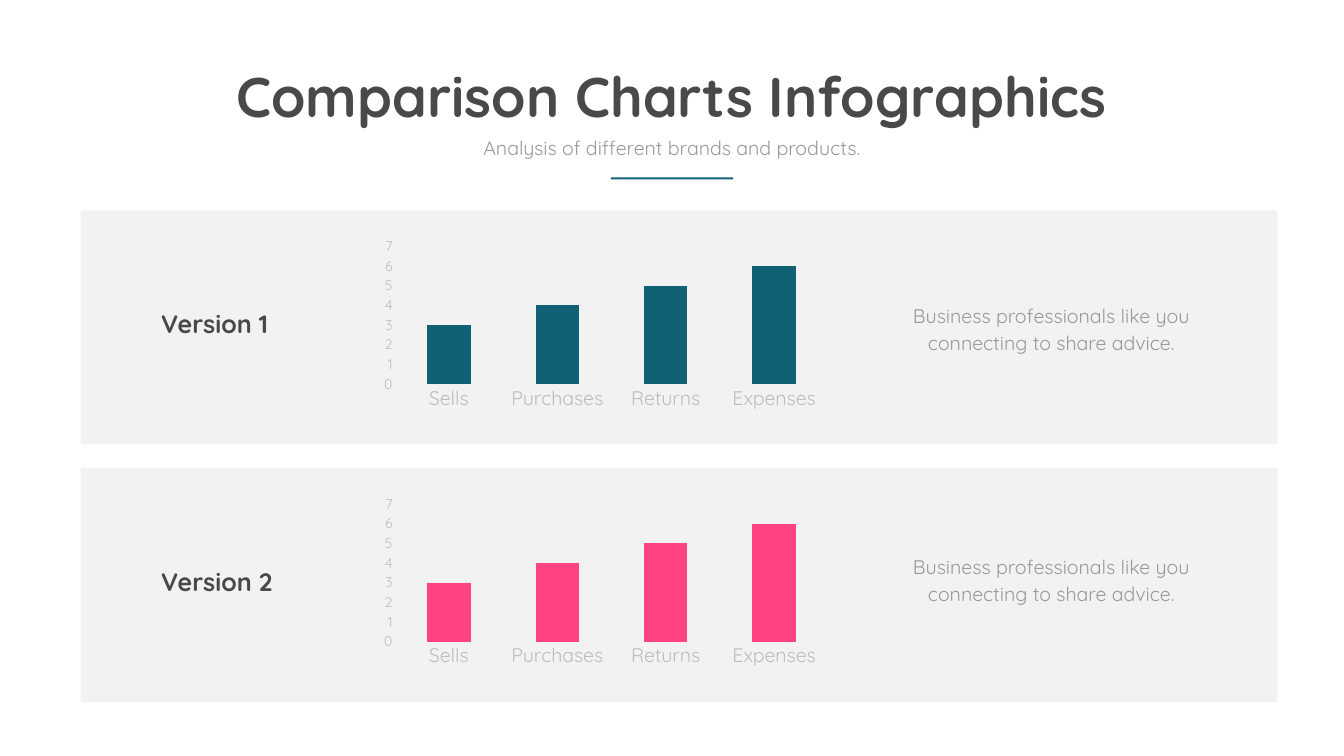
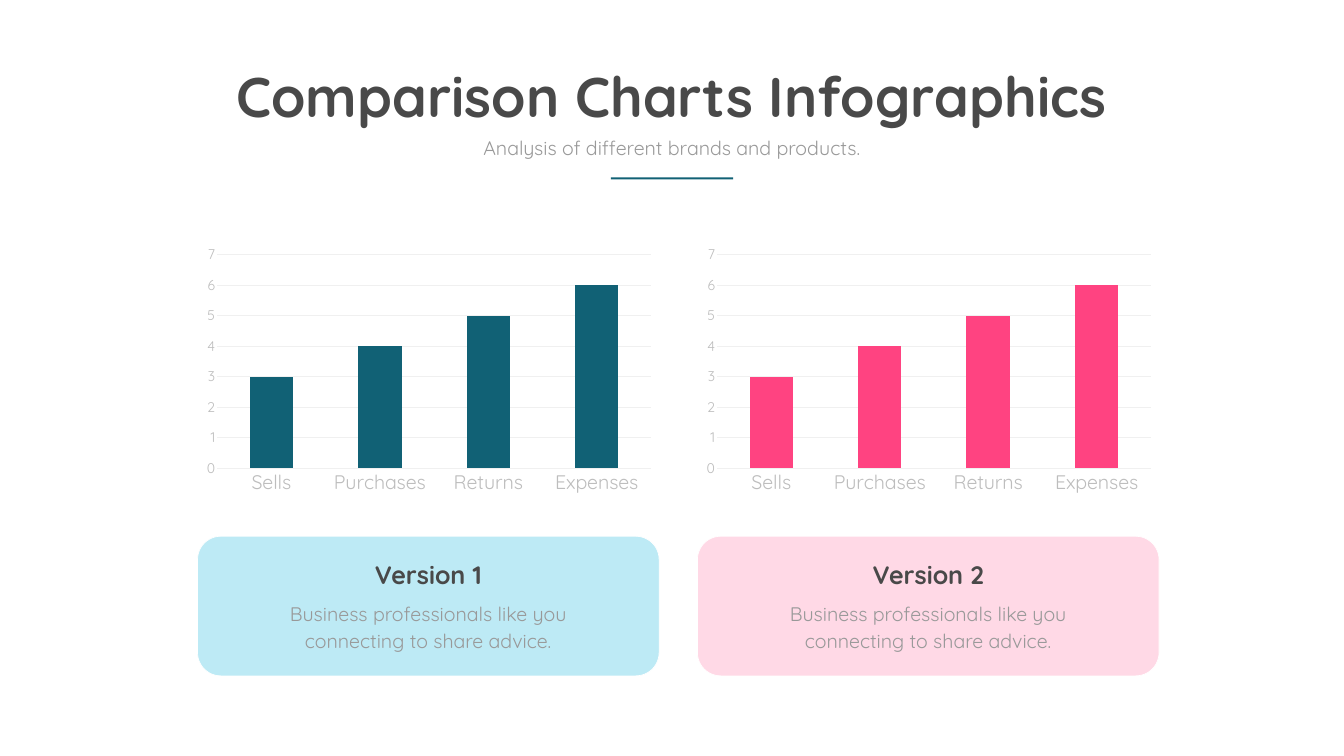
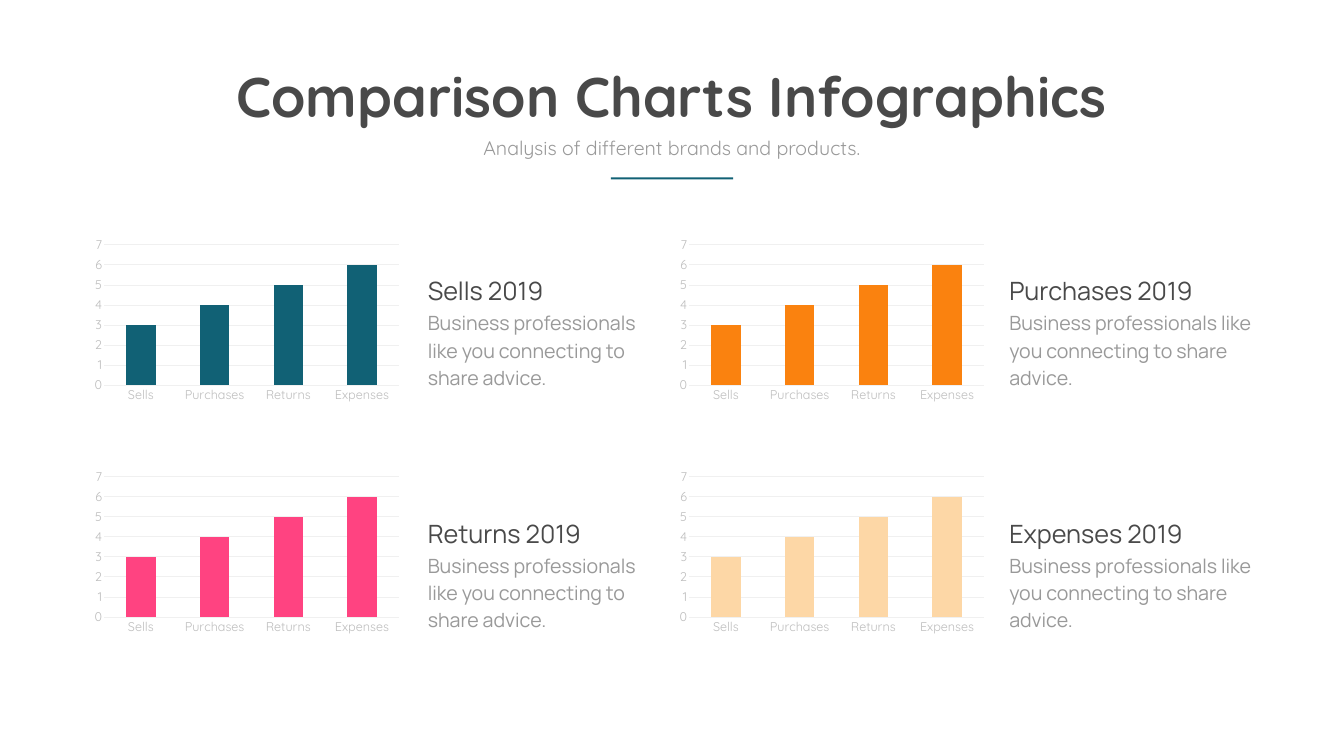
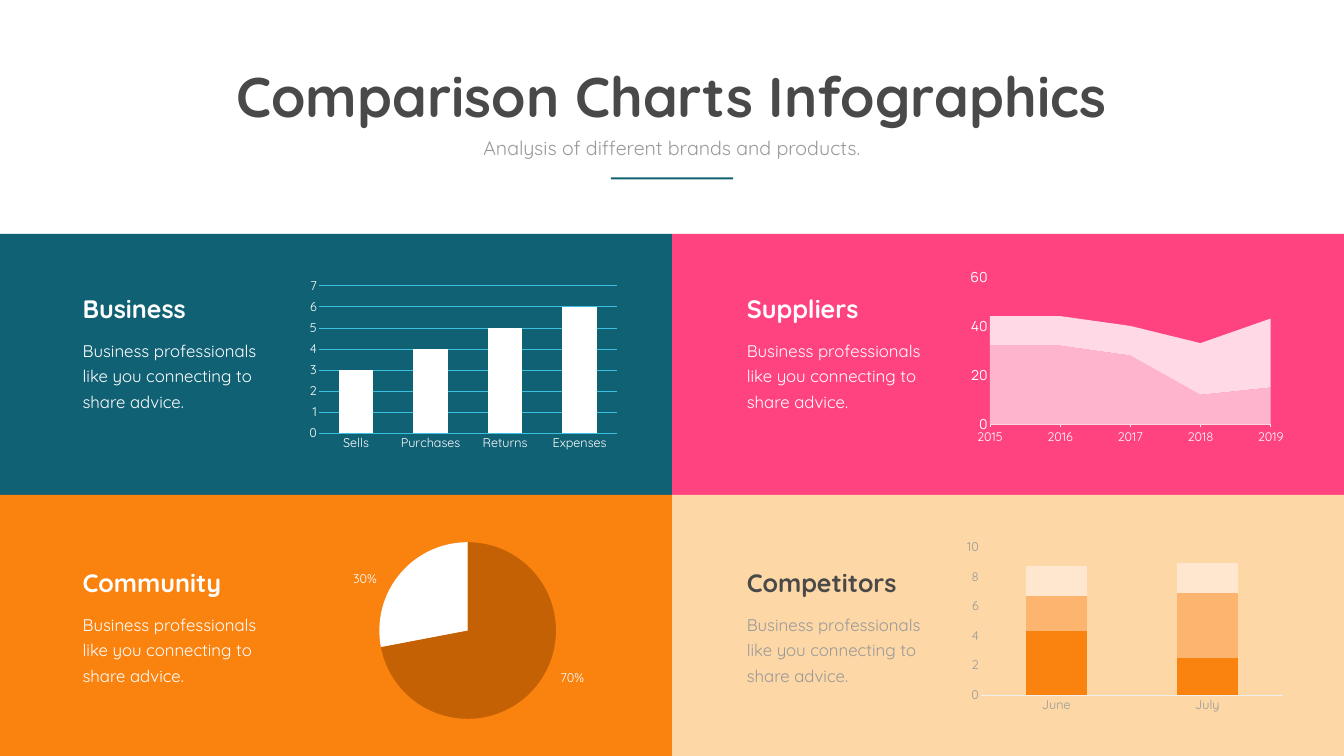
from itertools import product

from lxml.etree import SubElement
from pptx import Presentation
from pptx.chart.data import CategoryChartData
from pptx.dml.color import RGBColor
from pptx.enum.chart import XL_CHART_TYPE, XL_TICK_MARK
from pptx.enum.shapes import MSO_SHAPE
from pptx.enum.text import MSO_ANCHOR, MSO_AUTO_SIZE, PP_ALIGN
from pptx.oxml.ns import qn
from pptx.util import Emu, Pt

PX = 9144  # 100 px to the inch
WIDTH, HEIGHT = 2667, 1500

FONT, ALT_FONT = "Quicksand", "Manrope"
TEAL, PINK, ORANGE, SAND = "116175", "FF4381", "FA820F", "FDD7A6"
DARK, GREY, LABEL, GRID, WHITE = "494949", "999999", "BDBDBD", "F0F0F0", "FFFFFF"
PANEL = "F2F2F2"

TITLE = "Comparison Charts Infographics"
SUBTITLE = "Analysis of different brands and products."
ADVICE = "Business professionals like you connecting to share advice."
ACTIVITY = ["Sells", "Purchases", "Returns", "Expenses"]
LEVELS = [3, 4, 5, 6]

# name, bar colour, card colour, top of the advice on the rows slide
VERSIONS = [
    ("Version 1", TEAL, "BDEAF5", 592),
    ("Version 2", PINK, "FFD9E6", 1090),
]

YEAR_CHARTS = [
    ("Sells 2019", TEAL),
    ("Purchases 2019", ORANGE),
    ("Returns 2019", PINK),
    ("Expenses 2019", SAND),
]

# heading, panel colour, heading colour, advice colour
QUADRANTS = [
    ("Business", TEAL, WHITE, WHITE),
    ("Suppliers", PINK, WHITE, WHITE),
    ("Community", ORANGE, WHITE, WHITE),
    ("Competitors", SAND, DARK, GREY),
]

YEARS = ["2015", "2016", "2017", "2018", "2019"]
SUPPLIES = [([32, 32, 28, 12, 15], "FFB4CD"), ([12, 12, 12, 21, 28], "FFD9E6")]
MONTHS = ["June", "July"]
RIVALS = [([4.3, 2.5], ORANGE), ([2.4, 4.4], "FCB46F"), ([2, 2], "FEE6CF")]
SHARES = [(72, "C36104"), (28, WHITE)]
SHARE_LABELS = [("30%", 691, 1108), ("70%", 1102, 1303)]


def rgb(value):
    return RGBColor.from_string(value)


def box(x, y, w, h):
    return [Emu(n * PX) for n in (x, y, w, h)]


def style_font(font, size, color, name=FONT, bold=False):
    font.size, font.name, font.bold = Pt(size), name, bold
    font.color.rgb = rgb(color)


def fill_text(sp, text, size, color, name=FONT, bold=False, center=False,
              spacing=None, wrap=True):
    tf = sp.text_frame
    tf.word_wrap = wrap
    tf.auto_size = MSO_AUTO_SIZE.SHAPE_TO_FIT_TEXT
    tf.vertical_anchor = MSO_ANCHOR.TOP
    p = tf.paragraphs[0]
    p.alignment = PP_ALIGN.CENTER if center else PP_ALIGN.LEFT
    if spacing:
        p.line_spacing = Pt(spacing)
    r = p.add_run()
    r.text = text
    style_font(r.font, size, color, name, bold)


def add_text(s, at, text, size, color, **options):
    fill_text(s.shapes.add_textbox(*box(*at)), text, size, color, **options)


def add_heading(s, at, text, color=DARK, bold=True, **options):
    add_text(s, at, text, 36, color, bold=bold, **options)


def add_advice(s, at, size=28, color=GREY, spacing=38.6, **options):
    add_text(s, at, ADVICE, size, color, spacing=spacing, **options)


def add_block(s, at, color, kind=MSO_SHAPE.RECTANGLE, line=None):
    sp = s.shapes.add_shape(kind, *box(*at))
    sp.shadow.inherit = False
    sp.fill.solid()
    sp.fill.fore_color.rgb = rgb(color)
    if line:
        sp.line.color.rgb = rgb(line)
        sp.line.width = Pt(1)
    else:
        sp.line.fill.background()


def insert_chart(s, at, kind, cats, series):
    """Add a bare chart; series is a list of value lists."""
    data = CategoryChartData()
    data.categories = cats
    for n, values in enumerate(series, 1):
        data.add_series(f"Series {n}", values)
    chart = s.shapes.add_chart(kind, *box(*at), data).chart
    chart.has_title = chart.has_legend = False
    return chart


def add_axis_chart(s, at, cats, series, top, step, kind=XL_CHART_TYPE.COLUMN_STACKED,
                   cat_size=18, val_size=18, color=LABEL, grid=None, base=GRID,
                   val_font=FONT):
    chart = insert_chart(s, at, kind, cats, [values for values, _ in series])
    style_font(chart.font, val_size, GREY)
    plot = chart.plots[0]
    plot.vary_by_categories = False
    for ser, (_, fill) in zip(plot.series, series):
        ser.format.fill.solid()
        ser.format.fill.fore_color.rgb = rgb(fill)

    cat, val = chart.category_axis, chart.value_axis
    for axis in (cat, val):
        axis.major_tick_mark = axis.minor_tick_mark = XL_TICK_MARK.NONE
    style_font(cat.tick_labels.font, cat_size, color)
    style_font(val.tick_labels.font, val_size, color, val_font)
    cat.has_major_gridlines = False
    cat.format.line.color.rgb = rgb(base)
    cat.format.line.width = Pt(0.75)
    val.minimum_scale, val.maximum_scale, val.major_unit = 0, top, step
    val.format.line.fill.background()
    val.has_major_gridlines = grid is not None
    if grid:
        val.major_gridlines.format.line.color.rgb = rgb(grid)
        val.major_gridlines.format.line.width = Pt(0.75)
    return chart


def add_columns(s, at, cats, series, top, step, gap=150, overlap=100, **options):
    plot = add_axis_chart(s, at, cats, series, top, step, **options).plots[0]
    plot.gap_width, plot.overlap = gap, overlap


def add_activity(s, at, fill, grid=GRID, **options):
    add_columns(s, at, ACTIVITY, [(LEVELS, fill)], 7, 1, grid=grid, **options)


def set_plot_area(chart, x, y, w, h):
    area = chart.element.find(".//" + qn("c:plotArea"))
    for old in area.findall(qn("c:layout")):
        area.remove(old)
    layout = SubElement(area, qn("c:layout"))
    area.insert(0, layout)
    manual = SubElement(layout, qn("c:manualLayout"))
    for tag, value in [("layoutTarget", "inner"), ("xMode", "edge"), ("yMode", "edge"),
                       ("x", x), ("y", y), ("w", w), ("h", h)]:
        SubElement(manual, qn("c:" + tag)).set("val", str(value))


def new_slide(prs):
    s = prs.slides.add_slide(prs.slide_layouts[5])
    title = s.shapes.title
    title.left, title.top, title.width, title.height = box(447, 117, 1771, 145)
    fill_text(title, TITLE, 80, DARK, bold=True, center=True, wrap=False)
    add_text(s, (855, 265, 956, 57), SUBTITLE, 28, GREY, center=True)
    add_block(s, (1212, 352, 243, 4), TEAL)
    return s


def build_rows(prs):
    s = new_slide(prs)
    for row, (name, color, _, advice_top) in enumerate(VERSIONS):
        top = 418 + 511 * row
        add_block(s, (160, top, 2375, 464), PANEL)
        add_activity(s, (744, top + 46, 918, 357), color, cat_size=28, val_size=20)
        add_advice(s, (1798, advice_top, 576, 118), center=True)
        add_heading(s, (310, top + 189, 299, 71), name)


def build_cards(prs):
    s = new_slide(prs)
    card_w, advice_w, name_w = 916, 675, 440
    for col, (name, color, card, _) in enumerate(VERSIONS):
        left = 392 + 992 * col
        add_activity(s, (left, 477, 918, 514), color, cat_size=28, val_size=20)
        add_block(s, (left, 1064, card_w, 277), card, MSO_SHAPE.ROUNDED_RECTANGLE, WHITE)
        add_advice(s, (left + (card_w - advice_w) // 2, 1182, advice_w, 118), center=True)
        add_heading(s, (left + (card_w - name_w) // 2, 1105, name_w, 71), name, center=True)


def build_years(prs):
    s = new_slide(prs)
    columns = [(175, 839, 488), (1336, 1993, 503)]  # chart left, text left, text width
    rows = [(463, 542), (923, 1024)]  # chart top, text top
    for (name, color), (row, column) in zip(YEAR_CHARTS, product(rows, columns)):
        chart_top, text_top = row
        chart_left, text_left, text_w = column
        add_advice(s, (text_left, text_top + 64, text_w, 172), name=ALT_FONT)
        add_heading(s, (text_left, text_top, 440, 71), name, bold=False, name=ALT_FONT)
        add_activity(s, (chart_left, chart_top, 629, 343), color)


def build_quadrants(prs):
    s = new_slide(prs)
    panel_w, panel_h = 1334, 518
    columns = [(0, 154), (1334, 1472)]  # panel left, text left
    rows = [(464, 577), (982, 1120)]  # panel top, heading top
    cells = list(zip(QUADRANTS, product(rows, columns)))
    for (_, fill, _, _), ((top, _), (left, _)) in cells:
        add_block(s, (left, top, panel_w, panel_h), fill)
    for (name, _, name_color, advice_color), ((_, top), (_, left)) in cells:
        add_advice(s, (left, top + 83, 395, 160), 24, advice_color, 36.6)
        add_heading(s, (left, top, 399, 71), name, name_color)

    add_activity(s, (601, 544, 636, 358), WHITE, grid="3AC1E2", base="3AC1E2",
                 color=WHITE, gap=115, overlap=-11)

    area = add_axis_chart(s, (1906, 530, 648, 358), YEARS, SUPPLIES, 60, 20,
                          kind=XL_CHART_TYPE.AREA_STACKED, val_size=20, color=WHITE,
                          val_font=ALT_FONT)
    area.category_axis.major_tick_mark = XL_TICK_MARK.OUTSIDE
    set_plot_area(area, 0.09, 0.04, 0.86, 0.83)

    pie = insert_chart(s, (644, 1062, 568, 378), XL_CHART_TYPE.PIE, ["1", "2"],
                       [[share for share, _ in SHARES]])
    style_font(pie.font, 10, GREY, "Calibri")
    for n, (_, color) in enumerate(SHARES):
        fill = pie.plots[0].series[0].points[n].format.fill
        fill.solid()
        fill.fore_color.rgb = rgb(color)
    for label, x, y in SHARE_LABELS:
        add_text(s, (x, y, 108, 56), label, 18, WHITE, spacing=36.6)

    add_columns(s, (1906, 1062, 653, 359), MONTHS, RIVALS, 10, 2, color=GREY)


def main():
    prs = Presentation()
    prs.slide_width, prs.slide_height = Emu(WIDTH * PX), Emu(HEIGHT * PX)
    for build in (build_rows, build_cards, build_years, build_quadrants):
        build(prs)
    prs.save("out.pptx")


if __name__ == "__main__":
    main()
